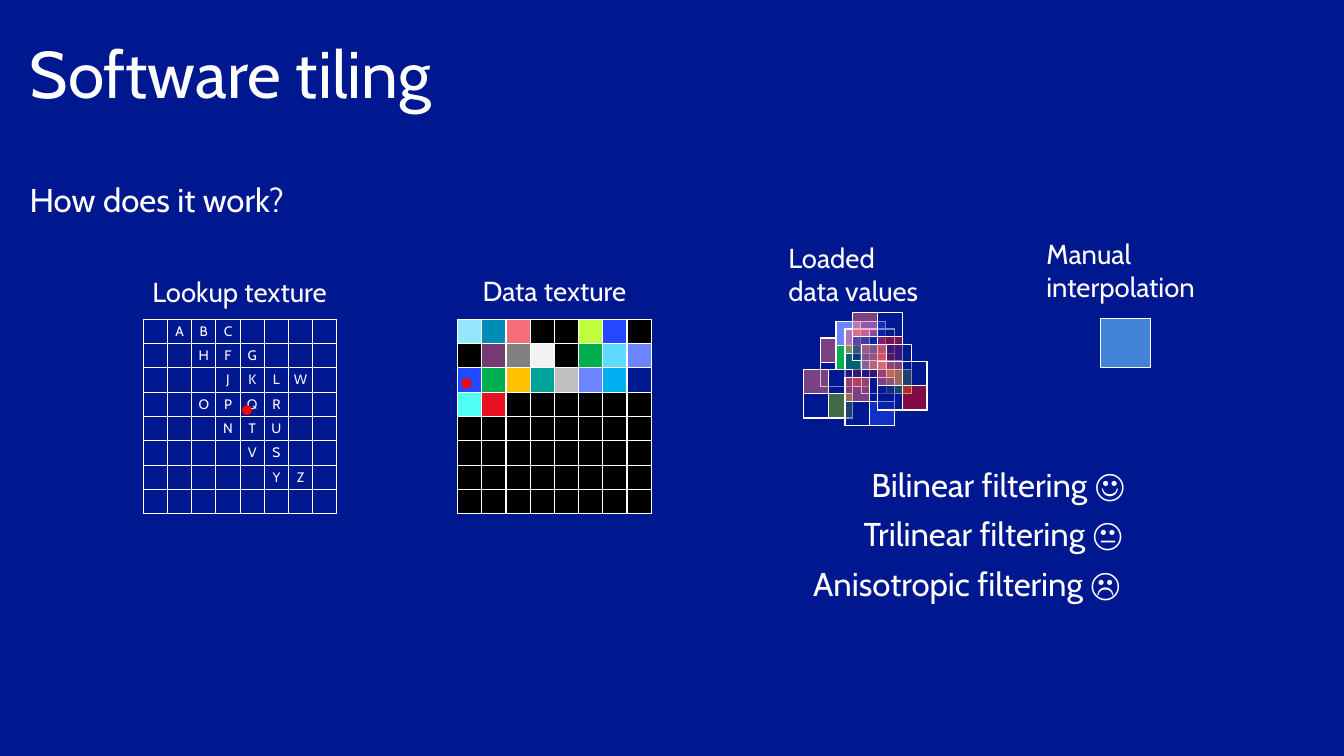
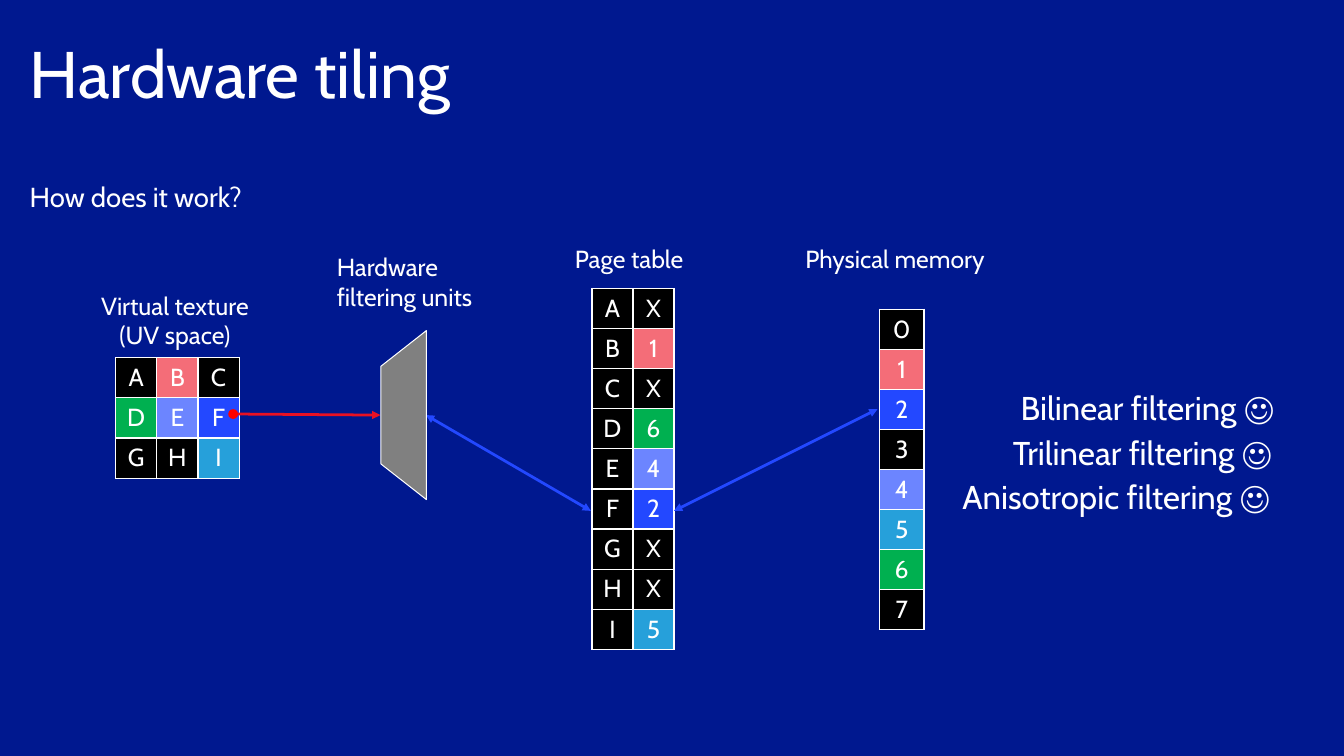
from lxml import etree
from pptx import Presentation
from pptx.dml.color import RGBColor
from pptx.enum.shapes import MSO_CONNECTOR, MSO_SHAPE
from pptx.enum.text import MSO_ANCHOR, MSO_AUTO_SIZE, PP_ALIGN
from pptx.oxml.ns import qn
from pptx.util import Inches, Pt

LEFT, CENTER = PP_ALIGN.LEFT, PP_ALIGN.CENTER
TOP, MIDDLE = MSO_ANCHOR.TOP, MSO_ANCHOR.MIDDLE
FIT_SHAPE, NO_FIT = MSO_AUTO_SIZE.SHAPE_TO_FIT_TEXT, MSO_AUTO_SIZE.NONE
ELLIPSE, TRAPEZOID = MSO_SHAPE.OVAL, MSO_SHAPE.TRAPEZOID
STRAIGHT = MSO_CONNECTOR.STRAIGHT

rgb = RGBColor.from_string
FONT = "Cabin"
NAVY, WHITE, BLACK, GRAY = "00188F", "FFFFFF", "000000", "808080"
ROSE, RED, DOT_RED = "F46D78", "E81123", "FF0000"
BLUE, PERIWINKLE, SKY, GREEN = "2348FF", "6C85FF", "26A0DA", "00B050"
CYAN, LIME = "00B0F0", "7FBA00"


def write(tf, text, size, align=LEFT):
    """Fill a text frame with one paragraph for each line of text."""
    for i, line in enumerate(text.split("\n")):
        p = tf.add_paragraph() if i else tf.paragraphs[0]
        p.alignment = align
        p.space_before = Pt(0)
        r = p.add_run()
        r.text = line
        r.font.name = FONT
        r.font.size = Pt(size)
        r.font.color.rgb = rgb(WHITE)


def add_grid(s, left, top, width, height, rows, size=10, alpha=None):
    """Add a white-ruled table of (text, fill) cells; alpha is in percent."""
    n_rows, n_cols = len(rows), len(rows[0])
    table = s.shapes.add_table(n_rows, n_cols, Inches(left), Inches(top),
                               Inches(width), Inches(height)).table
    table.first_row = table.horz_banding = False
    for column in table.columns:
        column.width = Inches(width / n_cols)
    for row, cells in zip(table.rows, rows):
        row.height = Inches(height / n_rows)
        for cell, (text, fill) in zip(row.cells, cells):
            cell.margin_left = cell.margin_right = 0
            cell.margin_top = cell.margin_bottom = 0
            cell.vertical_anchor = MIDDLE
            if text:
                write(cell.text_frame, text, size, CENTER)
            else:
                p = cell.text_frame.paragraphs[0]
                etree.SubElement(p._p, qn("a:endParaRPr"), sz="800")
            tcPr = cell._tc.get_or_add_tcPr()
            for side in ("a:lnL", "a:lnR", "a:lnT", "a:lnB"):
                ln = etree.SubElement(tcPr, qn(side), w=str(Pt(1)))
                solid = etree.SubElement(ln, qn("a:solidFill"))
                etree.SubElement(solid, qn("a:srgbClr"), val=WHITE)
            if fill is None:
                cell.fill.background()
                continue
            cell.fill.solid()
            cell.fill.fore_color.rgb = rgb(fill)
            if alpha:
                color = tcPr.find(qn("a:solidFill"))[0]
                etree.SubElement(color, qn("a:alpha"), val=str(alpha * 1000))


prs = Presentation()
prs.slide_width, prs.slide_height = Inches(13.6), Inches(7.65)
background = prs.slide_master.background.fill
background.solid()
background.fore_color.rgb = rgb(NAVY)

# Shared title and body frames
layout = prs.slide_layouts[1]
frames = {0: (0.3, 0.33, 13, 1), 1: (0.3, 1.82, 3, 5.5)}
for idx, box in frames.items():
    ph = next(ph for ph in layout.placeholders
              if ph.placeholder_format.idx == idx)
    ph.left, ph.top, ph.width, ph.height = map(Inches, box)

slides = []
for title, size in (("Software tiling", 24), ("Hardware tiling", 20)):
    s = prs.slides.add_slide(layout)
    slides.append(s)
    body = s.placeholders[1]
    for tf in (s.shapes.title.text_frame, body.text_frame):
        tf.margin_left = tf.margin_right = tf.margin_top = tf.margin_bottom = 0
        tf.vertical_anchor = TOP
        tf.auto_size = NO_FIT
    pPr = body.text_frame.paragraphs[0]._p.get_or_add_pPr()
    pPr.set("marL", "0")
    pPr.set("indent", "0")
    etree.SubElement(pPr, qn("a:buNone"))
    write(s.shapes.title.text_frame, title, 48)
    write(body.text_frame, "How does it work?", size)
software, hardware = slides

# Software tiling: lookup and data textures
lookup = [".ABC....", "..HFG...", "...JKLW.", "..OPQR..",
          "...NTU..", "....VS..", ".....YZ.", "........"]
add_grid(software, 1.45, 3.23, 1.96, 1.97,
         [[(c.strip("."), None) for c in line] for line in lookup])

data = [
    ["94E7FF", "008DB5", ROSE, BLACK, BLACK, "C1FF3D", BLUE, BLACK],
    [BLACK, "743B70", GRAY, "F2F2F2", BLACK, GREEN, "5EDBFF", PERIWINKLE],
    [BLUE, GREEN, "FFC000", "00A299", "BFBFBF", PERIWINKLE, CYAN, None],
    ["4FFFF5", RED] + [BLACK] * 6,
] + [[BLACK] * 8] * 4
add_grid(software, 4.63, 3.23, 1.96, 1.97,
         [[("", fill) for fill in line] for line in data])

# Overlapping 2 x 2 samples, from back to front
samples = [
    (8.3, 3.42, (ROSE, NAVY, NAVY, RED), 50),
    (8.46, 3.25, (PERIWINKLE, BLUE, GREEN, CYAN), None),
    (8.55, 3.33, (ROSE, NAVY, NAVY, RED), 50),
    (8.63, 3.16, (ROSE, NAVY, NAVY, RED), 50),
    (8.72, 3.49, (ROSE, NAVY, NAVY, LIME), 50),
    (8.13, 3.74, (ROSE, NAVY, NAVY, LIME), 50),
    (8.55, 3.82, (ROSE, NAVY, NAVY, BLUE), 50),
    (8.88, 3.66, (ROSE, NAVY, NAVY, DOT_RED), 50),
]
for left, top, fills, alpha in samples:
    cells = [("", fill) for fill in fills]
    add_grid(software, left, top, 0.5, 0.49, [cells[:2], cells[2:]],
             alpha=alpha)
add_grid(software, 11.14, 3.22, 0.5, 0.5, [[("", "4383D8")]])

# Hardware tiling: pages take the colour of the memory slot they map to
memory = [BLACK, ROSE, BLUE, BLACK, PERIWINKLE, SKY, GREEN, BLACK]
slots = {"B": 1, "D": 6, "E": 4, "F": 2, "I": 5}
page_fill = {page: memory[slots[page]] if page in slots else BLACK
             for page in "ABCDEFGHI"}
add_grid(hardware, 1.17, 3.62, 1.25, 1.22,
         [[(page, page_fill[page]) for page in line]
          for line in ("ABC", "DEF", "GHI")], 18)
add_grid(hardware, 5.99, 2.92, 0.83, 3.65,
         [[(page, BLACK), (str(slots.get(page, "X")), fill)]
          for page, fill in page_fill.items()], 18)
add_grid(hardware, 8.9, 3.13, 0.45, 3.24,
         [[(str(slot), fill)] for slot, fill in enumerate(memory)], 18)

arrows = [
    (6.82, 5.17, 8.88, 4.14, BLUE, ("a:headEnd", "a:tailEnd")),
    (4.31, 4.2, 5.98, 5.17, BLUE, ("a:headEnd", "a:tailEnd")),
    (2.41, 4.19, 3.85, 4.2, RED, ("a:tailEnd",)),
]
for x1, y1, x2, y2, color, ends in arrows:
    arrow = hardware.shapes.add_connector(
        STRAIGHT, Inches(x1), Inches(y1), Inches(x2), Inches(y2))
    arrow.line.color.rgb = rgb(color)
    arrow.line.width = Pt(2)
    for end in ends:
        etree.SubElement(arrow.line._get_or_add_ln(), qn(end), type="triangle")
    etree.SubElement(arrow._element.spPr, qn("a:effectLst"))

unit = hardware.shapes.add_shape(TRAPEZOID, Inches(3.23), Inches(3.97),
                                 Inches(1.71), Inches(0.46))
unit.rotation = 270
unit.adjustments[0] = 0.784
unit.shadow.inherit = False
unit.fill.solid()
unit.fill.fore_color.rgb = rgb(GRAY)
unit.line.color.rgb = rgb(WHITE)
unit.line.width = Pt(0.75)

# Sampling points
for s, left, top in ((software, 2.45, 4.1), (software, 4.67, 3.83),
                     (hardware, 2.31, 4.14)):
    dot = s.shapes.add_shape(ELLIPSE, Inches(left), Inches(top),
                             Inches(0.1), Inches(0.1))
    dot.shadow.inherit = False
    dot.fill.solid()
    dot.fill.fore_color.rgb = rgb(DOT_RED)
    dot.line.fill.background()

labels = [
    (software, 1.38, 2.73, 2.09, 0.44, "Lookup texture", 20, CENTER),
    (software, 4.74, 2.72, 1.74, 0.44, "Data texture", 20, CENTER),
    (software, 7.88, 2.39, 1.64, 0.77, "Loaded\ndata values", 20, LEFT),
    (software, 10.49, 2.35, 1.8, 0.77, "Manual\ninterpolation", 20, LEFT),
    (software, 8.72, 4.65, 2.91, 0.5, "Bilinear filtering ☺", 24, LEFT),
    (software, 8.64, 5.15, 2.99, 0.5, "Trilinear filtering 😐", 24, LEFT),
    (software, 8.13, 5.65, 3.57, 0.5, "Anisotropic filtering ☹", 24, LEFT),
    (hardware, 0.87, 2.89, 1.8, 0.71, "Virtual texture\n(UV space)", 18, CENTER),
    (hardware, 3.31, 2.5, 1.67, 0.71, "Hardware\nfiltering units", 18, LEFT),
    (hardware, 5.72, 2.42, 1.37, 0.4, "Page table", 18, LEFT),
    (hardware, 8.05, 2.42, 2.09, 0.4, "Physical memory", 18, LEFT),
    (hardware, 10.23, 3.87, 2.91, 0.5, "Bilinear filtering ☺", 24, LEFT),
    (hardware, 10.15, 4.33, 2.99, 0.5, "Trilinear filtering ☺", 24, LEFT),
    (hardware, 9.64, 4.77, 3.51, 0.5, "Anisotropic filtering ☺", 24, LEFT),
]
for s, left, top, width, height, text, size, align in labels:
    tf = s.shapes.add_textbox(Inches(left), Inches(top), Inches(width),
                              Inches(height)).text_frame
    tf.word_wrap = False
    tf.auto_size = FIT_SHAPE
    write(tf, text, size, align)

prs.save("out.pptx")
